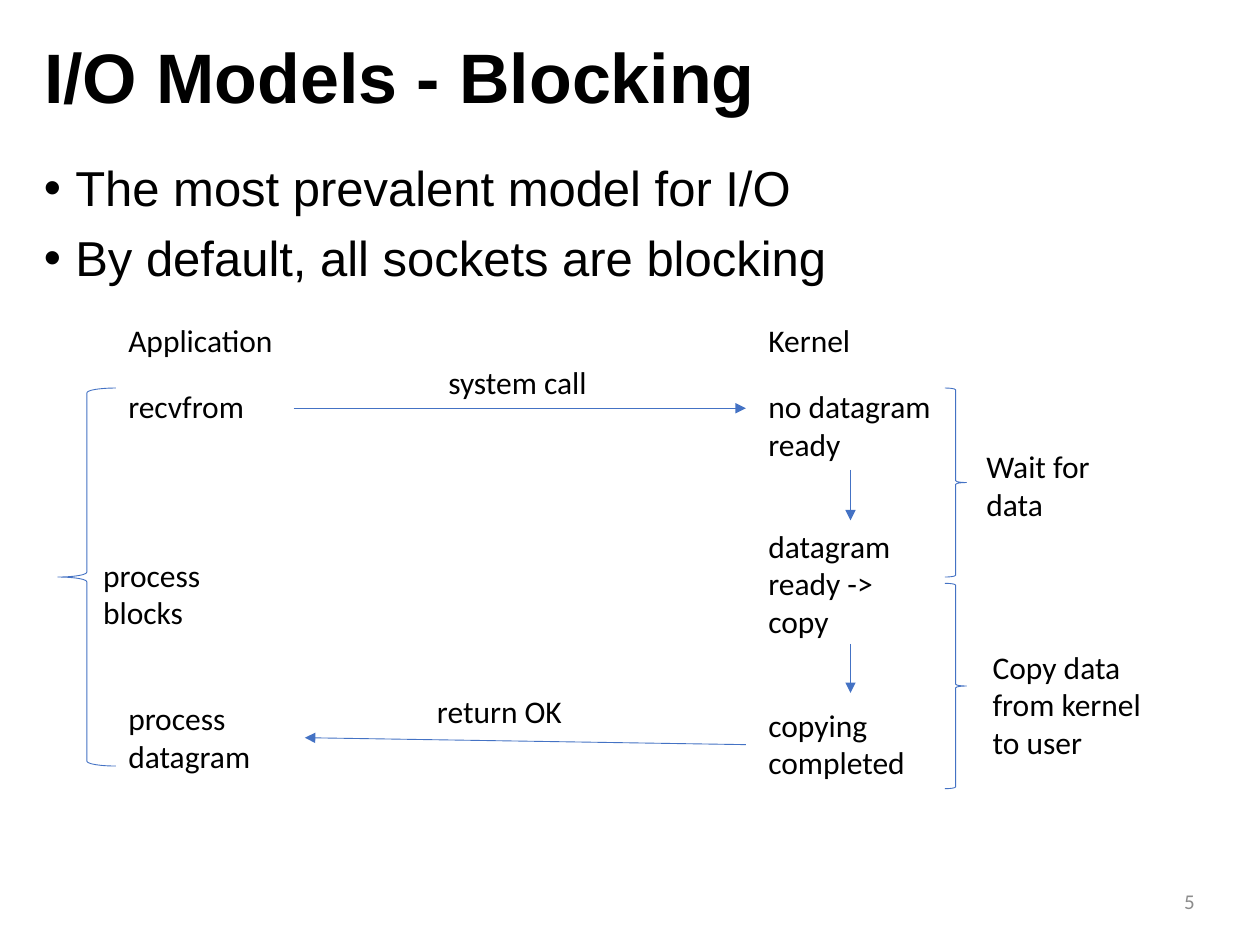
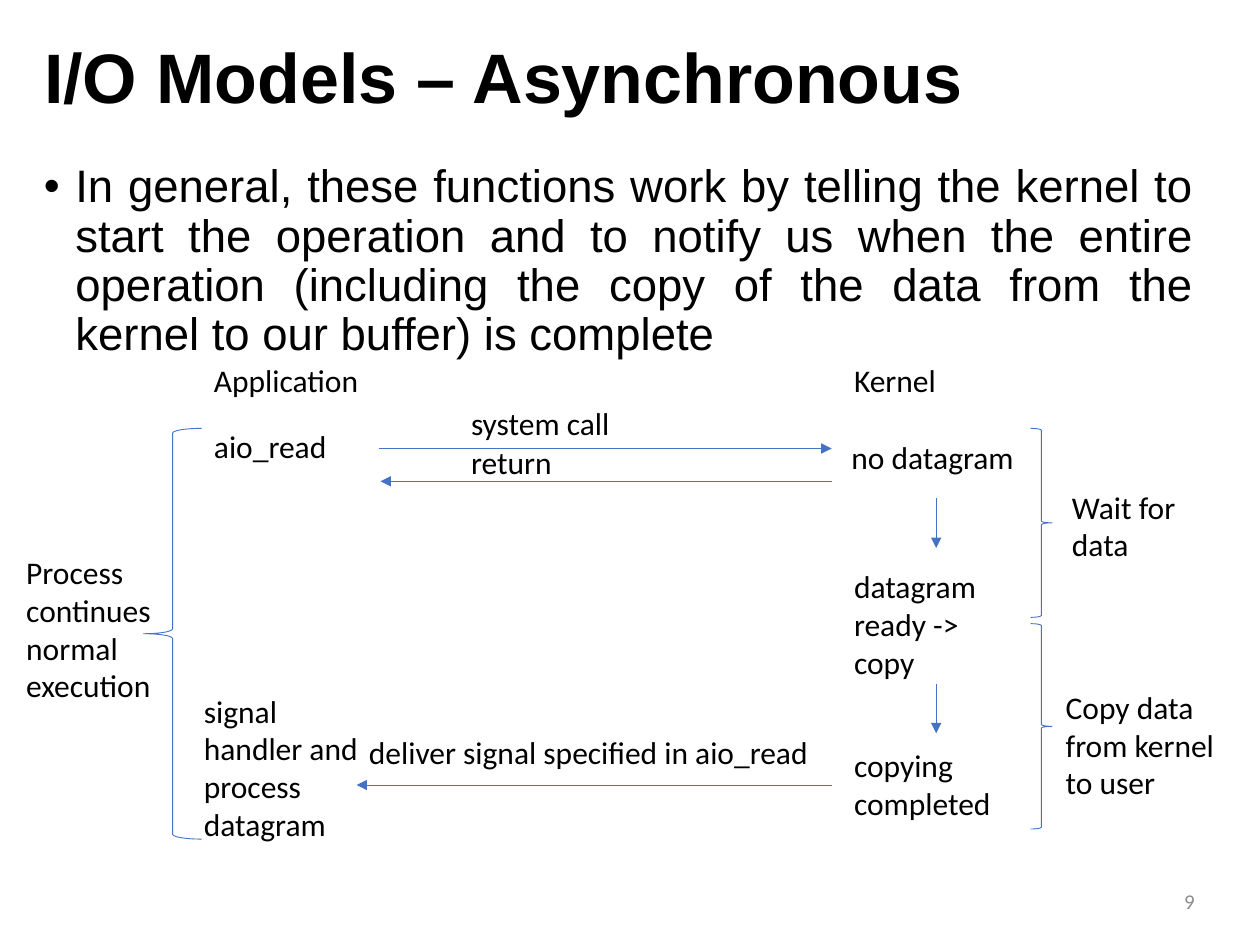
"""Build two slides that compare blocking and asynchronous I/O models."""
from dataclasses import dataclass

from lxml import etree
from pptx import Presentation
from pptx.dml.color import RGBColor
from pptx.enum.shapes import MSO_CONNECTOR, MSO_SHAPE
from pptx.enum.text import MSO_ANCHOR, MSO_AUTO_SIZE, PP_ALIGN
from pptx.oxml.ns import qn
from pptx.util import Inches, Pt

STRAIGHT = MSO_CONNECTOR.STRAIGHT
LEFT_BRACE, RIGHT_BRACE = MSO_SHAPE.LEFT_BRACE, MSO_SHAPE.RIGHT_BRACE
TOP, MIDDLE = MSO_ANCHOR.TOP, MSO_ANCHOR.MIDDLE
NO_FIT, FIT_SHAPE = MSO_AUTO_SIZE.NONE, MSO_AUTO_SIZE.SHAPE_TO_FIT_TEXT
LEFT, RIGHT, JUSTIFY = PP_ALIGN.LEFT, PP_ALIGN.RIGHT, PP_ALIGN.JUSTIFY
TOP_SITE, BOTTOM_SITE, RIGHT_SITE = 0, 2, 3
TITLE_ONLY = 5


@dataclass(frozen=True)
class Theme:
    """Colours, fonts and sizes shared by the slides."""

    text = RGBColor(0x00, 0x00, 0x00)
    accent = RGBColor(0x44, 0x72, 0xC4)
    muted = RGBColor(0x8C, 0x8C, 0x8C)
    heading_font = "Arial"
    label_font = "Calibri"
    title_size = Pt(40)
    label_size = Pt(18)
    number_size = Pt(12)
    line_width = Pt(0.5)


THEME = Theme()
TITLE_FONT = {"name": THEME.heading_font, "size": THEME.title_size, "bold": True}
LABEL_FONT = {"name": THEME.label_font, "size": THEME.label_size}
NUMBER_FONT = {"name": THEME.label_font, "size": THEME.number_size}
LABEL_FRAME = {"word_wrap": True, "auto_size": FIT_SHAPE, "vertical_anchor": TOP}
FIXED_FRAME = {"word_wrap": True, "auto_size": NO_FIT, "vertical_anchor": TOP}
MIDDLE_FRAME = {**FIXED_FRAME, "vertical_anchor": MIDDLE}
LABEL_PARAGRAPH = {"alignment": LEFT}
TITLE_PARAGRAPH = {"alignment": LEFT, "line_spacing": 0.9}
BODY_PARAGRAPH = {"line_spacing": 0.9, "space_before": Pt(10)}

TITLE_BOX = (0.25, 0.13, 9.33, 1.03)
BODY_BOX = (0.25, 1.25, 9.33, 5.51)
NUMBER_BOX = (7.06, 6.95, 2.52, 0.4)
LABEL_WIDTH = 1.5
HEIGHT_BY_LINES = {1: 0.4, 2: 0.71, 3: 1.01, 4: 1.31}

SHARED_LABELS = [
    ("Application", 0.92, 2.5, 1),
    ("Kernel", 6, 2.5, 1),
    ("datagram ready -> copy", 6, 4.13, 3),
    ("copying completed", 6, 5.55, 2),
    ("Wait for data", 7.73, 3.5, 2),
]
SHARED_ARROWS = [
    ((2.33, 3.24), (5.92, 3.24)),
    ((6.75, 5.11), (6.75, 5.5)),
]
SHARED_BRACES = [(7.5, 3.08, 0.17, 1.5), (7.5, 4.63, 0.17, 1.63)]
PROCESS_BRACE = (0.46, 3.08, 0.46)

SLIDES = [
    {
        "title": "I/O Models - Blocking",
        "number": "5",
        "bullets": [
            "The most prevalent model for I/O",
            "By default, all sockets are blocking",
        ],
        "body_size": Pt(28),
        "alignment": LEFT,
        "offset": (0, 0),
        "process_height": 3,
        "labels": [
            ("recvfrom", 0.92, 3.02, 1, LABEL_WIDTH),
            ("no datagram ready", 6, 3.02, 2, LABEL_WIDTH),
            ("process datagram", 0.92, 5.5, 2, LABEL_WIDTH),
            ("system call", 3.46, 2.83, 1, LABEL_WIDTH),
            ("return OK", 3.37, 5.44, 1, LABEL_WIDTH),
            ("process blocks", 0.72, 4.36, 2, LABEL_WIDTH),
            ("Copy data from kernel to user", 7.78, 5.09, 3, LABEL_WIDTH),
        ],
        "arrows": [
            ((6.75, 3.73), (6.75, 4.13), ("no datagram ready", BOTTOM_SITE),
             ("datagram ready -> copy", TOP_SITE)),
            ((5.92, 5.91), (2.42, 5.86), None, ("process datagram", RIGHT_SITE)),
        ],
    },
    {
        "title": "I/O Models – Asynchronous",
        "number": "9",
        "bullets": [
            "In general, these functions work by telling the kernel to start the "
            "operation and to notify us when the entire operation (including the "
            "copy of the data from the kernel to our buffer) is complete",
        ],
        "body_size": Pt(26),
        "alignment": JUSTIFY,
        "offset": (0.68, 0.32),
        "process_height": 3.26,
        "labels": [
            ("aio_read", 1.6, 3.34, 1, LABEL_WIDTH),
            ("signal handler and process datagram", 1.52, 5.44, 4, LABEL_WIDTH),
            ("system call", 3.64, 3.16, 1, 2.37),
            ("deliver signal specified in aio_read", 2.83, 5.77, 1, 3.8),
            ("Process continues normal execution", 0.11, 4.34, 4, 1.39),
            ("Copy data from kernel to user", 8.36, 5.41, 3, LABEL_WIDTH),
            ("return", 3.64, 3.47, 1, 2.35),
            ("no datagram", 6.66, 3.43, 1, LABEL_WIDTH),
        ],
        "arrows": [
            ((6.6, 6.23), (2.83, 6.23), None, None),
            ((6.6, 3.82), (3.02, 3.82), None, None),
            ((7.43, 3.95), (7.43, 4.35), None, None),
        ],
    },
]


def set_values(target, values):
    """Set each named attribute of the target."""
    for name, value in values.items():
        setattr(target, name, value)


def write_text(shape, box, texts, frame_format, paragraph_format, font_format,
               color=THEME.text):
    """Place a shape and fill it with formatted paragraphs."""
    sides = ("left", "top", "width", "height")
    set_values(shape, dict(zip(sides, map(Inches, box))))
    frame = shape.text_frame
    set_values(frame, frame_format)
    frame.text = "\n".join(texts)
    for paragraph in frame.paragraphs:
        set_values(paragraph, paragraph_format)
        font = paragraph.runs[0].font
        set_values(font, font_format)
        font.color.rgb = color


presentation = Presentation()
presentation.slide_width = Inches(10)
presentation.slide_height = Inches(7.5)

for content in SLIDES:
    slide = presentation.slides.add_slide(presentation.slide_layouts[TITLE_ONLY])
    shapes = slide.shapes
    write_text(shapes.title, TITLE_BOX, [content["title"]], MIDDLE_FRAME,
               TITLE_PARAGRAPH, TITLE_FONT)

    body = shapes.add_textbox(0, 0, 0, 0)
    write_text(body, BODY_BOX, content["bullets"], FIXED_FRAME,
               {**BODY_PARAGRAPH, "alignment": content["alignment"]},
               {"name": THEME.heading_font, "size": content["body_size"]})
    for paragraph in body.text_frame.paragraphs:
        properties = paragraph._p.get_or_add_pPr()
        properties.set("marL", str(Inches(0.25)))
        properties.set("indent", str(Inches(-0.25)))
        etree.SubElement(properties, qn("a:buFont"), typeface=THEME.heading_font)
        etree.SubElement(properties, qn("a:buChar"), char="•")

    write_text(shapes.add_textbox(0, 0, 0, 0), NUMBER_BOX, [content["number"]],
               MIDDLE_FRAME, {"alignment": RIGHT}, NUMBER_FONT, THEME.muted)

    shift_x, shift_y = content["offset"]
    labels = [(text, left + shift_x, top + shift_y, lines, LABEL_WIDTH)
              for text, left, top, lines in SHARED_LABELS] + content["labels"]
    label_boxes = {}
    for text, left, top, lines, width in labels:
        label_boxes[text] = shapes.add_textbox(0, 0, 0, 0)
        write_text(label_boxes[text], (left, top, width, HEIGHT_BY_LINES[lines]),
                   [text], LABEL_FRAME, LABEL_PARAGRAPH, LABEL_FONT)

    braces = [(RIGHT_BRACE, brace) for brace in SHARED_BRACES]
    braces.append((LEFT_BRACE, (*PROCESS_BRACE, content["process_height"])))
    for kind, (left, top, width, height) in braces:
        brace = shapes.add_shape(kind, Inches(left + shift_x), Inches(top + shift_y),
                                 Inches(width), Inches(height))
        brace.shadow.inherit = False
        brace.fill.background()
        brace.line.color.rgb = THEME.accent
        brace.line.width = THEME.line_width

    arrows = [((x1 + shift_x, y1 + shift_y), (x2 + shift_x, y2 + shift_y), None, None)
              for (x1, y1), (x2, y2) in SHARED_ARROWS] + content["arrows"]
    for start, end, start_joint, end_joint in arrows:
        arrow = shapes.add_connector(STRAIGHT, *map(Inches, start + end))
        for joint, connect in ((start_joint, arrow.begin_connect),
                               (end_joint, arrow.end_connect)):
            if joint:
                text, site = joint
                connect(label_boxes[text], site)
        arrow.line.color.rgb = THEME.accent
        arrow.line.width = THEME.line_width
        etree.SubElement(arrow.line._get_or_add_ln(), qn("a:tailEnd"), type="triangle")
        etree.SubElement(arrow._element.spPr, qn("a:effectLst"))

presentation.save("out.pptx")
